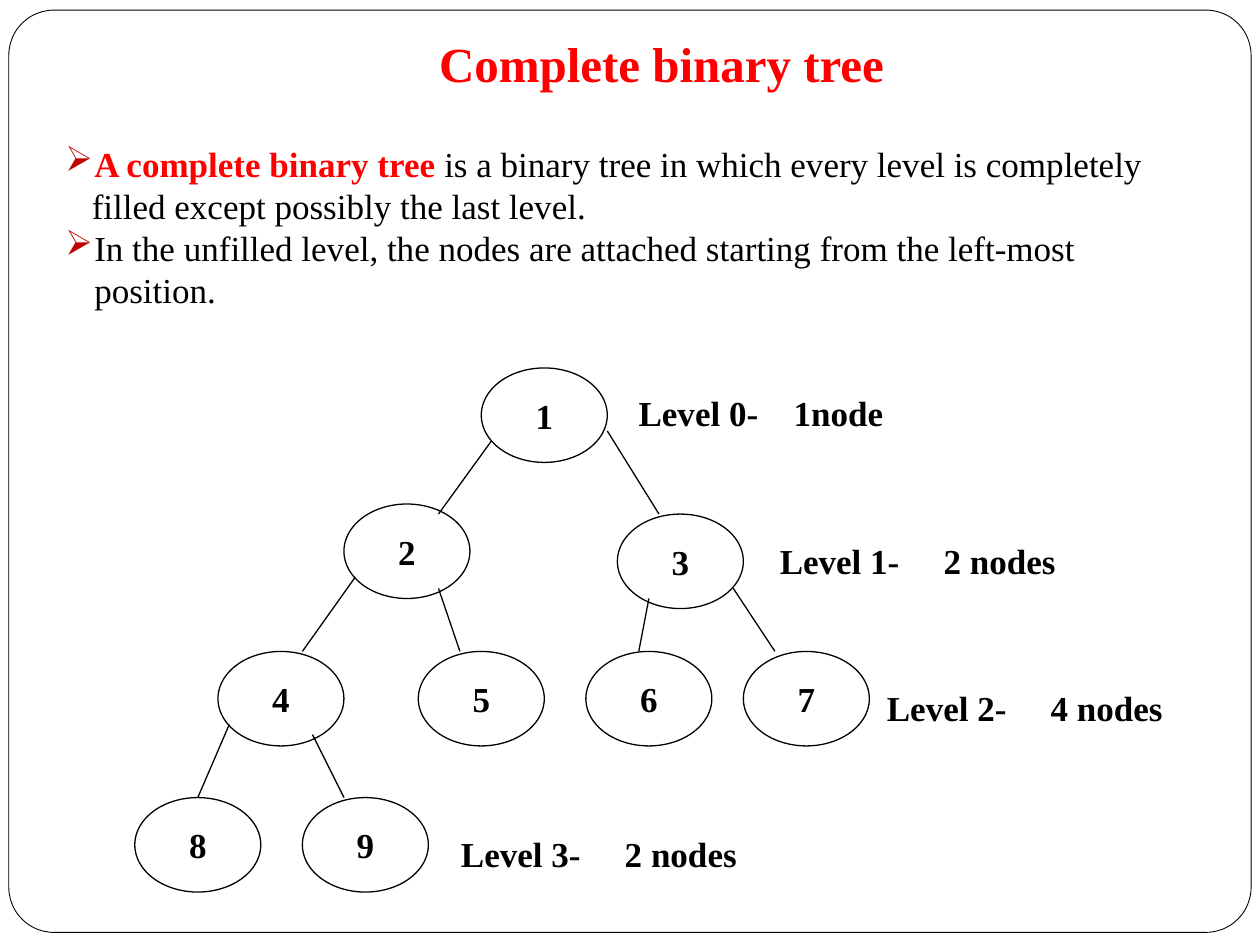
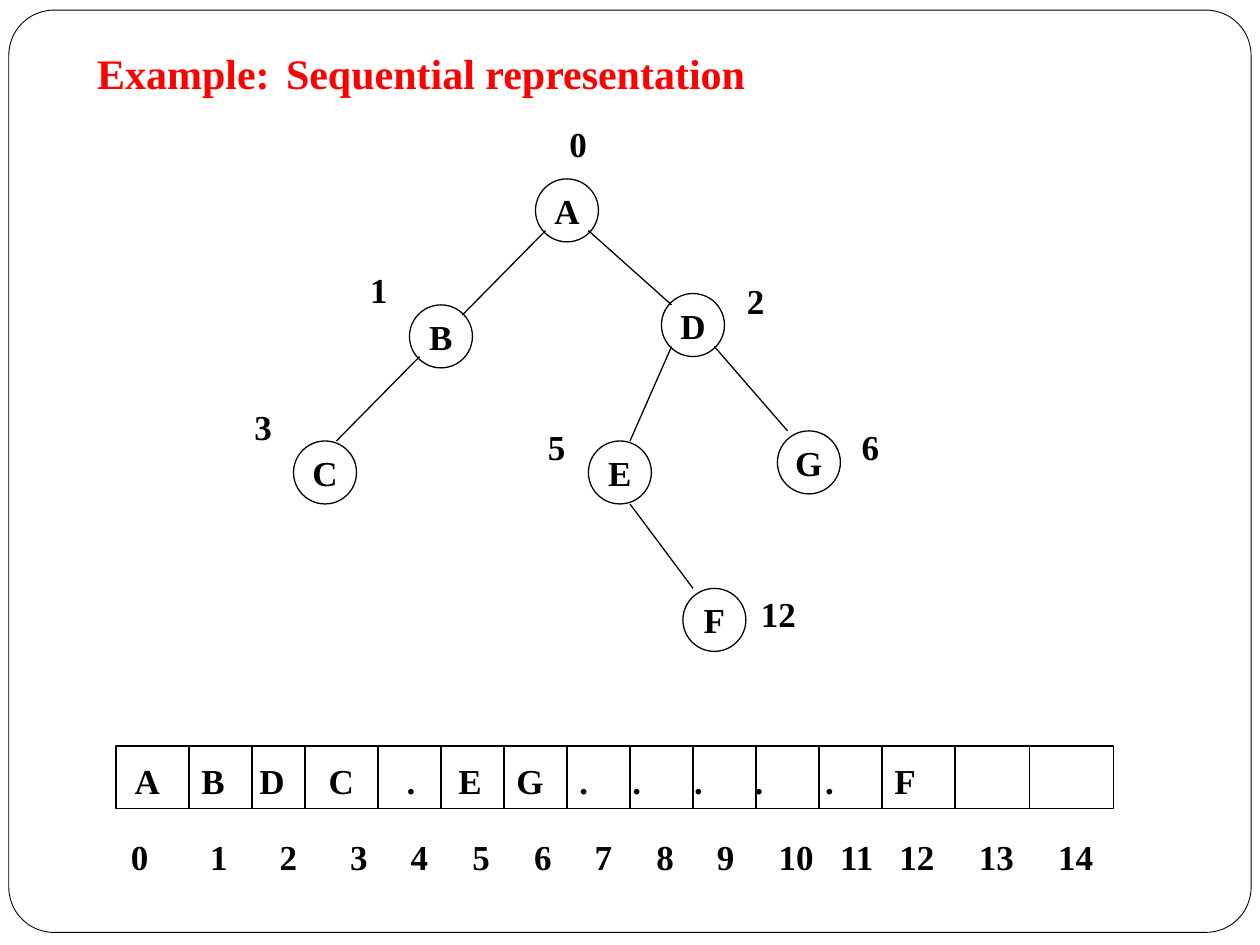
"""Build two slides on complete binary trees and their sequential representation."""
from lxml import etree
from pptx import Presentation
from pptx import util as u
from pptx.dml.color import RGBColor
from pptx.enum import shapes, text
from pptx.oxml.ns import qn

RED, BLACK, WHITE, BULLET = "FF0000", "000000", "FFFFFF", "C00000"
BODY = {"name": "Times New Roman", "size": u.Pt(20), "bold": True}
PLAIN = {**BODY, "bold": False}


def color(hex_value):
    return RGBColor.from_string(hex_value)


def write(paragraph, content, font_format, font_color=BLACK, tabs=()):
    if tabs:
        tab_list = etree.SubElement(paragraph._p.get_or_add_pPr(), qn("a:tabLst"))
        for position in tabs:
            etree.SubElement(tab_list, qn("a:tab"), pos=str(u.Inches(position)), algn="l")
    run = paragraph.add_run()
    run.text = content
    for name, value in font_format.items():
        setattr(run.font, name, value)
    run.font.color.rgb = color(font_color)


presentation = Presentation()
presentation.slide_width, presentation.slide_height = u.Inches(10), u.Inches(7.5)
layout = presentation.slide_layouts[5]

index_tabs = (0.63, 1.18, 1.74, 2.22, 2.71, 3.2, 3.68, 4.17, 4.65, 5.14, 5.63, 6.1, 6.73, 7.36)
value_tabs = (0.53, 0.99, 1.54, 2.16, 2.57, 3.03, 3.53, 3.95, 4.44, 4.92, 5.48, 6.03)
array_top, array_bottom = 5.92, 6.42
dividers = (1.5, 2, 2.42, 3, 3.5, 4, 4.5, 5, 5.5, 6, 6.5, 7, 7.58, 8.17)

pages = [
    {
        "title": "Complete binary tree",
        "title_box": (1, 0.25, 8.5, 0.58),
        "title_size": 28,
        "title_align": text.PP_ALIGN.CENTER,
        "title_anchor": text.MSO_ANCHOR.BOTTOM,
        "title_tabs": (),
        "node_size": (1, 0.75),
        "nodes": {"1": (3.82, 2.92), "2": (2.73, 4), "3": (4.9, 4.08),
                  "4": (1.73, 5.17), "5": (3.32, 5.17), "6": (4.65, 5.17),
                  "7": (5.9, 5.17), "8": (1.07, 6.33), "9": (2.4, 6.33)},
        "lines": [(3.9, 3.5, 3.48, 4.08), (4.82, 3.42, 5.23, 4.08),
                  (2.82, 4.58, 2.4, 5.17), (3.48, 4.67, 3.65, 5.17),
                  (1.82, 5.75, 1.57, 6.33), (2.48, 5.83, 2.73, 6.33),
                  (5.15, 4.75, 5.07, 5.17), (5.82, 4.67, 6.15, 5.17)],
        "labels": [("Level 0-\t1node", 4.97, 3.06, 2.14, (1.23,)),
                   ("Level 1-\t2 nodes", 6.09, 4.23, 2.39, (1.3,)),
                   ("Level 2-\t4 nodes", 6.94, 5.4, 2.39, (1.3,)),
                   ("Level 3-\t2 nodes", 3.56, 6.56, 2.39, (1.3,))],
    },
    {
        "title": "Example:\tSequential representation",
        "title_box": (0.67, 0.33, 5.92, 0.5),
        "title_size": 24,
        "title_align": text.PP_ALIGN.LEFT,
        "title_anchor": text.MSO_ANCHOR.TOP,
        "title_tabs": (1.5,),
        "node_size": (0.5, 0.5),
        "nodes": {"A": (4.25, 1.42), "B": (3.25, 2.42), "C": (2.33, 3.5),
                  "D": (5.25, 2.33), "E": (4.67, 3.5), "F": (5.42, 4.67),
                  "G": (6.17, 3.42)},
        "lines": [(4.33, 1.83, 3.67, 2.5), (3.33, 2.83, 2.67, 3.5),
                  (4.67, 1.83, 5.33, 2.42), (5.67, 2.75, 6.25, 3.42),
                  (5, 4, 5.5, 4.67), (5.33, 2.75, 5, 3.5)]
                 + [(x, array_top, x, array_bottom) for x in dividers],
        "labels": [("0", 4.42, 0.92, 0.34, ()), ("1", 2.84, 2.08, 0.34, ()),
                   ("2", 5.83, 2.17, 0.34, ()), ("3", 1.92, 3.17, 0.34, ()),
                   ("5", 4.25, 3.33, 0.34, ()), ("6", 6.74, 3.33, 0.34, ()),
                   ("12", 5.94, 4.65, 0.48, ()),
                   ("\t".join("ABDC.EG.....F"), 0.97, 5.98, 6.44, value_tabs),
                   ("\t".join(map(str, range(15))), 0.94, 6.58, 7.99, index_tabs)],
    },
]

for page_number, page in enumerate(pages):
    slide = presentation.slides.add_slide(layout)
    title = slide.shapes.title
    title.left, title.top, title.width, title.height = map(u.Inches, page["title_box"])
    title_format = {"vertical_anchor": page["title_anchor"], "word_wrap": True,
                    "auto_size": text.MSO_AUTO_SIZE.NONE,
                    "margin_bottom": u.Inches(0.1 if page_number == 0 else 0.05)}
    for name, value in title_format.items():
        setattr(title.text_frame, name, value)
    paragraph = title.text_frame.paragraphs[0]
    paragraph.alignment = page["title_align"]
    write(paragraph, page["title"], {**BODY, "size": u.Pt(page["title_size"])}, RED,
          page["title_tabs"])

    outlines = [(shapes.MSO_SHAPE.OVAL, position + page["node_size"], name)
                for name, position in page["nodes"].items()]
    if page_number == 0:
        outlines.append((shapes.MSO_SHAPE.ROUNDED_RECTANGLE, (0.07, 0.08, 9.86, 7.32), ""))
    else:
        outlines.append((shapes.MSO_SHAPE.RECTANGLE, (0.92, array_top, 7.92, 0.5), ""))
    for kind, box, caption in outlines:
        shape = slide.shapes.add_shape(kind, *map(u.Inches, box))
        shape.shadow.inherit = False
        shape.fill.solid()
        shape.fill.fore_color.rgb = color(WHITE)
        shape.line.color.rgb = color(BLACK)
        shape.line.width = u.Pt(0.75)
        if caption:
            shape.text_frame.word_wrap = False
            shape.text_frame.vertical_anchor = text.MSO_ANCHOR.MIDDLE
            paragraph = shape.text_frame.paragraphs[0]
            paragraph.alignment = text.PP_ALIGN.CENTER
            write(paragraph, caption, BODY)
        if kind == shapes.MSO_SHAPE.ROUNDED_RECTANGLE:
            shape.adjustments[0] = 0.049
            shape.fill.background()
            shape.line.width = u.Pt(0.5)
            layout.shapes._spTree.insert(2, shape._element)

    for ends in page["lines"]:
        connector = slide.shapes.add_connector(shapes.MSO_CONNECTOR.STRAIGHT,
                                               *map(u.Inches, ends))
        connector.line.color.rgb = color(BLACK)
        connector.line.width = u.Pt(0.75)
        etree.SubElement(connector._element.spPr, qn("a:effectLst"))

    for caption, left, top, width, tabs in page["labels"]:
        label = slide.shapes.add_textbox(*map(u.Inches, (left, top, width, 0.44)))
        label.text_frame.word_wrap = bool(tabs)
        write(label.text_frame.paragraphs[0], caption, BODY, BLACK, tabs)

definition = presentation.slides[0].shapes.add_textbox(*map(u.Inches, (0.42, 1.08, 9.25, 1.1)))
definition.text_frame.word_wrap = True
statements = [
    (True, [("A complete binary tree ", BODY, RED),
            ("is a binary tree in which every level is completely", PLAIN, BLACK)]),
    (False, [("filled except possibly the last level.", PLAIN, BLACK)]),
    (True, [("In the unfilled level, the nodes are attached starting from the left-most "
             "position.", PLAIN, BLACK)]),
]
for number, (bulleted, parts) in enumerate(statements):
    frame = definition.text_frame
    paragraph = frame.add_paragraph() if number else frame.paragraphs[0]
    properties = paragraph._p.get_or_add_pPr()
    properties.set("marL", str(u.Inches(0.23 if bulleted else 0.21)))
    if bulleted:
        properties.set("indent", str(u.Inches(-0.23)))
        bullet_color = etree.SubElement(properties, qn("a:buClr"))
        etree.SubElement(bullet_color, qn("a:srgbClr"), val=BULLET)
        etree.SubElement(properties, qn("a:buFont"), typeface="Wingdings")
        etree.SubElement(properties, qn("a:buChar"), char="Ø")
    for content, font_format, font_color in parts:
        write(paragraph, content, font_format, font_color)

presentation.save("out.pptx")
